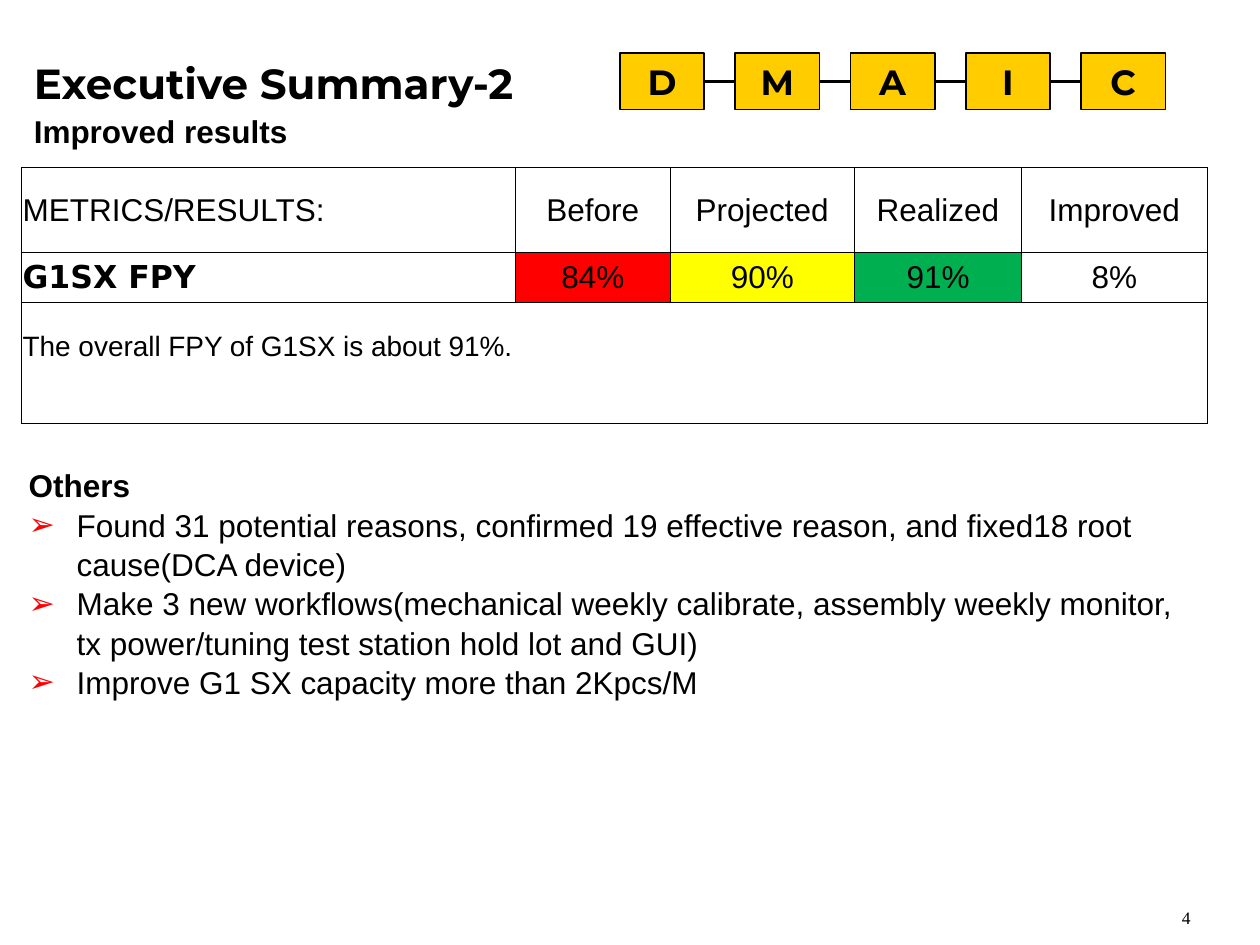
from lxml import etree
from pptx import Presentation, util as u
from pptx.dml.color import RGBColor
from pptx.enum import shapes, text
from pptx.oxml import ns

Inches, Pt = u.Inches, u.Pt
CENTER = text.PP_ALIGN.CENTER
MIDDLE = text.MSO_ANCHOR.MIDDLE
BLACK = "000000"


def color(value):
    return RGBColor.from_string(value)


def add_xml(parent, tag, **attributes):
    return etree.SubElement(parent, ns.qn(tag), attributes)


def write(para, words, size=18, font="Arial", bold=False, align=None, spacing=None):
    para.alignment = align
    para.line_spacing = spacing
    span = para.add_run()
    span.text = words
    span.font.size = Pt(size)
    span.font.name = font
    span.font.bold = bold
    span.font.color.rgb = color(BLACK)


def add_box(page, left, top, width, height, anchor=text.MSO_ANCHOR.TOP):
    box = page.shapes.add_textbox(Inches(left), Inches(top), Inches(width), Inches(height))
    frame = box.text_frame
    frame.word_wrap = True
    frame.vertical_anchor = anchor
    frame.margin_top = frame.margin_bottom = Inches(0.05)
    return frame


def add_phases(page, left, top, width, height):
    box_width = 0.67
    middle = Inches(top + height / 2)
    line = page.shapes.add_connector(
        shapes.MSO_CONNECTOR.STRAIGHT, Inches(left), middle, Inches(left + width - 0.08), middle)
    line.line.color.rgb = color(BLACK)
    line.line.width = Pt(1.5)
    add_xml(line._element.spPr, "a:effectLst")
    letters = "DMAIC"
    step = (width - box_width) / (len(letters) - 1)
    for index, letter in enumerate(letters):
        box = page.shapes.add_shape(
            shapes.MSO_SHAPE.RECTANGLE, Inches(left + index * step), Inches(top),
            Inches(box_width), Inches(height))
        box.shadow.inherit = False
        box.fill.solid()
        box.fill.fore_color.rgb = color("FFCC00")
        box.line.color.rgb = color(BLACK)
        box.line.width = Pt(1)
        box.text_frame.vertical_anchor = MIDDLE
        write(box.text_frame.paragraphs[0], letter, size=20, font="Montserrat",
              bold=True, align=CENTER)


def add_title(page, left, top, width, height):
    frame = add_box(page, left, top, width, height)
    write(frame.paragraphs[0], "Executive Summary-2", size=24, font="Montserrat",
          bold=True, spacing=1.2)
    write(frame.add_paragraph(), "Improved results", bold=True, spacing=1.1)


def format_cell(cell, fill):
    cell.vertical_anchor = MIDDLE
    cell.margin_left = cell.margin_right = cell.margin_top = Inches(0.01)
    cell.margin_bottom = 0
    properties = cell._tc.get_or_add_tcPr()
    for side in ("a:lnL", "a:lnR", "a:lnT", "a:lnB"):
        border = add_xml(properties, side, w=str(Pt(0.5)))
        add_xml(add_xml(border, "a:solidFill"), "a:srgbClr", val=BLACK)
    if fill:
        cell.fill.solid()
        cell.fill.fore_color.rgb = color(fill)
    else:
        cell.fill.background()


def add_results(page, left, top, width, height):
    rows = [
        ["METRICS/RESULTS:", "Before", "Projected", "Realized", "Improved"],
        ["G1SX FPY", "84%", "90%", "91%", "8%"],
        ["The overall FPY of G1SX is about 91%.", "", "", "", ""],
    ]
    fills = {(1, 1): "FF0000", (1, 2): "FFFF00", (1, 3): "00B050"}
    formats = {(1, 0): {"font": "DejaVu Sans", "bold": True}, (2, 0): {"size": 16}}
    table = page.shapes.add_table(
        3, 5, Inches(left), Inches(top), Inches(width), Inches(height)).table
    table.first_row = table.horz_banding = False
    for column, size in zip(table.columns, (3.92, 1.23, 1.46, 1.33, 1.47)):
        column.width = Inches(size)
    for row, size in zip(table.rows, (0.67, 0.4, 0.96)):
        row.height = Inches(size)
    for r, row in enumerate(rows):
        for c, words in enumerate(row):
            cell = table.cell(r, c)
            format_cell(cell, fills.get((r, c)))
            if words:
                write(cell.text_frame.paragraphs[0], words,
                      align=CENTER if c else None, **formats.get((r, c), {}))
    note = table.cell(2, 0)
    note.merge(table.cell(2, 4))
    note.margin_bottom = Inches(0.26)


def add_bullet(para, symbol, indent):
    properties = para._p.get_or_add_pPr()
    properties.set("marL", str(Inches(indent)))
    properties.set("indent", str(-Inches(indent)))
    add_xml(add_xml(properties, "a:buClr"), "a:srgbClr", val="FF0000")
    add_xml(properties, "a:buFont", typeface="Arial")
    add_xml(properties, "a:buChar", char=symbol)


def add_others(page, left, top, width, height):
    frame = add_box(page, left, top, width, height)
    frame.margin_top = Inches(0.08)
    write(frame.paragraphs[0], "Others", bold=True, spacing=1.04)
    for words in (
        "Found 31 potential reasons, confirmed 19 effective reason, and fixed18 root cause(DCA device)",
        "Make 3 new workflows(mechanical weekly calibrate, assembly weekly monitor, "
        "tx power/tuning test station hold lot and GUI)",
        "Improve G1 SX capacity more than 2Kpcs/M",
    ):
        para = frame.add_paragraph()
        write(para, words, spacing=1.04)
        add_bullet(para, "➢", 0.38)


def add_page_number(page, left, top, width, height):
    frame = add_box(page, left, top, width, height, MIDDLE)
    write(frame.paragraphs[0], "4", size=10, font="Times New Roman", align=CENTER)


def main():
    deck = Presentation()
    deck.slide_width, deck.slide_height = Inches(10), Inches(7.5)
    page = deck.slides.add_slide(deck.slide_layouts[6])
    add_phases(page, 4.92, 0.42, 4.33, 0.45)
    add_title(page, 0.17, 0.33, 9.5, 1)
    add_page_number(page, 9, 7.15, 0.83, 0.27)
    add_others(page, 0.13, 3.61, 9.5, 2.92)
    add_results(page, 0.17, 1.33, 9.42, 2.03)
    deck.save("out.pptx")


if __name__ == "__main__":
    main()
